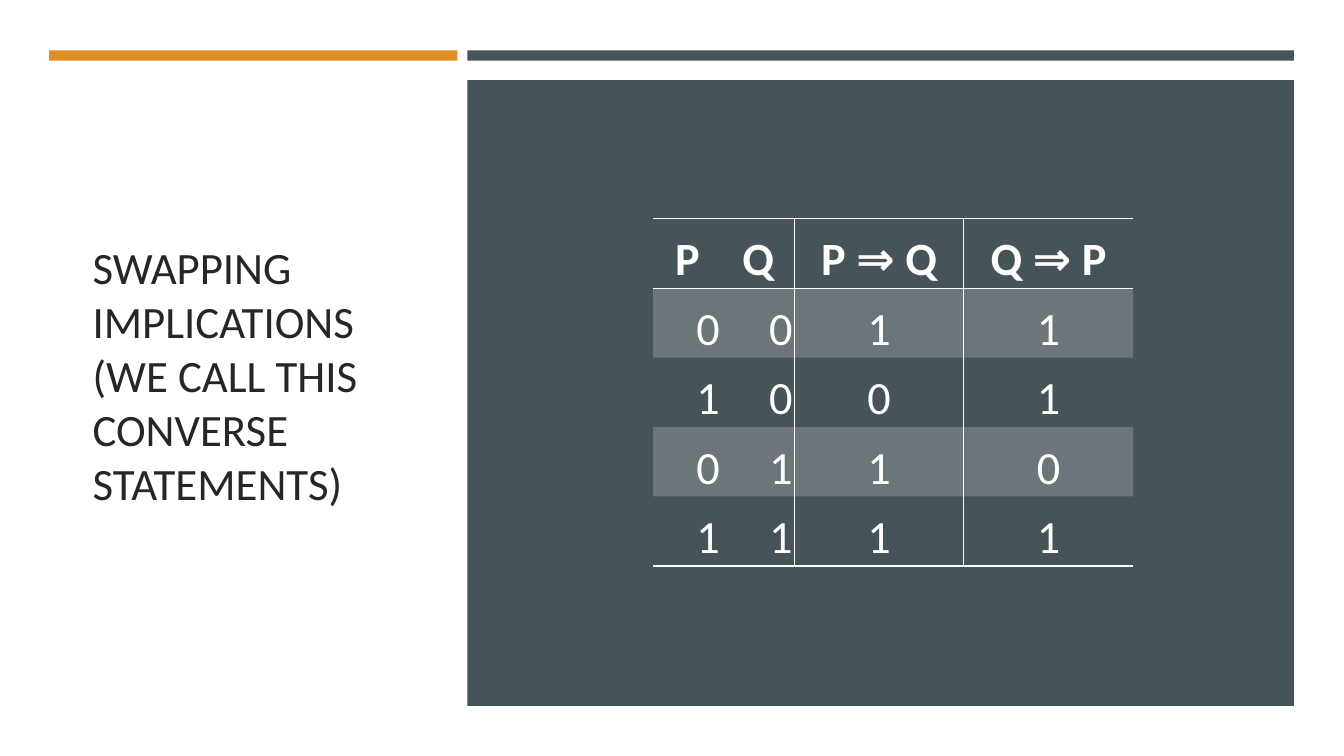
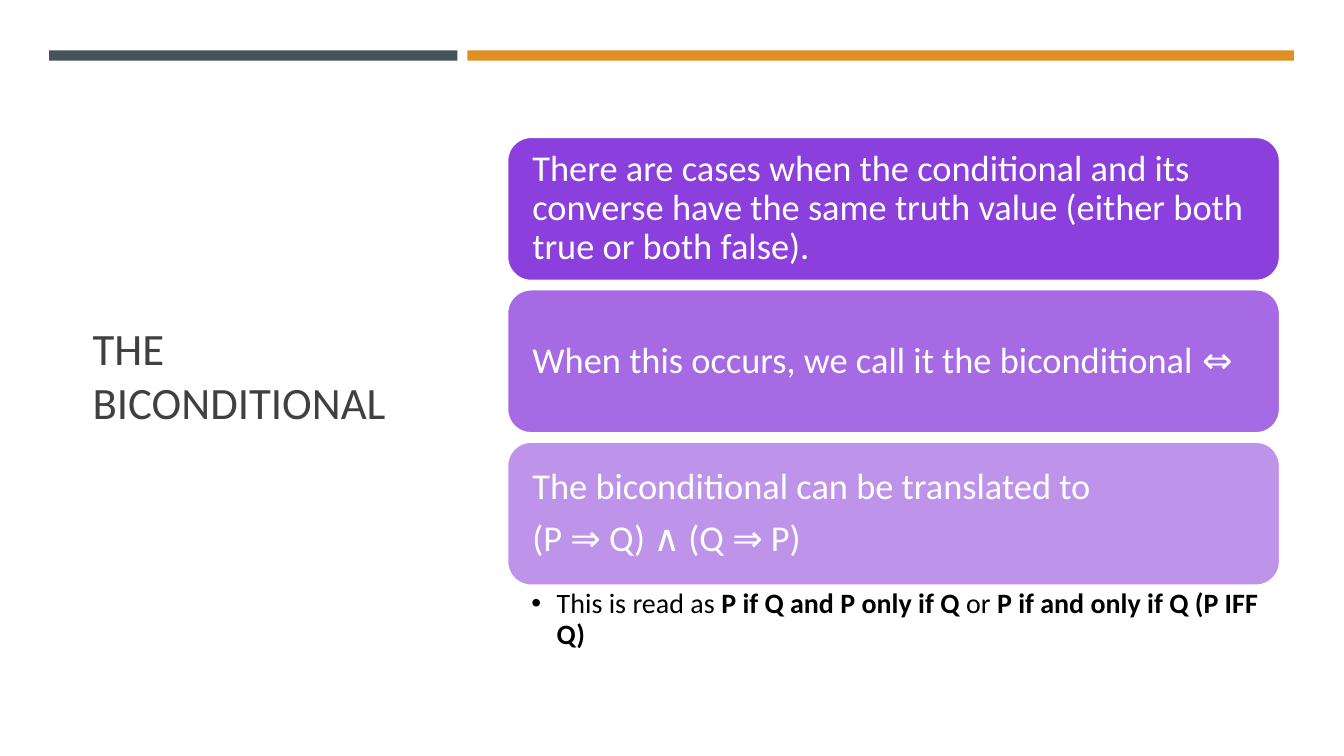
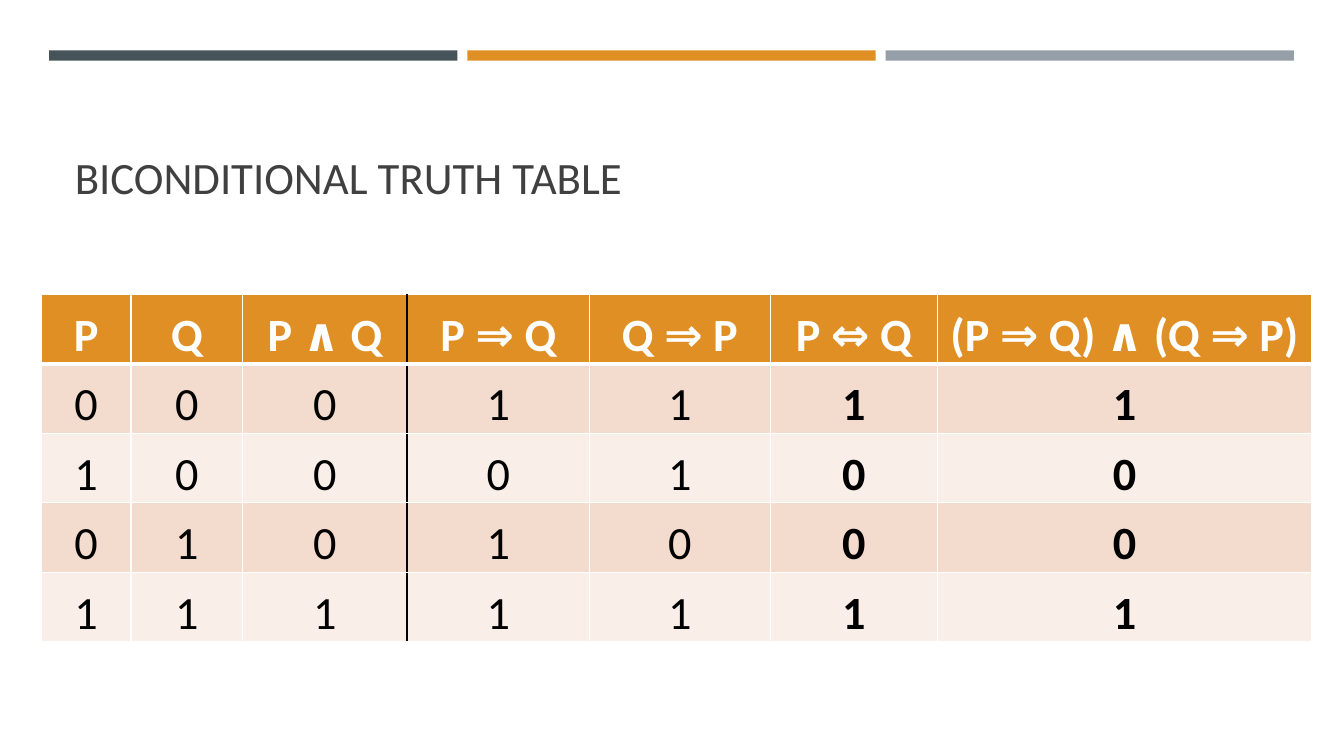
"""Builds three slides on converse statements and the biconditional."""
from lxml import etree
from pptx import Presentation
from pptx import util as u
from pptx.dml.color import RGBColor
from pptx.enum import shapes, text
from pptx.oxml.ns import qn

C = {"slate": "465359", "orange": "E08F25", "grey": "969FA7", "purple": "7F2BD9",
     "white": "FFFFFF", "black": "000000", "ink": "262626", "title": "404040",
     "band": "F3DBCD", "pale": "F9EEE8"}
FONT = "Calibri"
LEFT, COL, GAP = 1.24, 10.29, 0.25
SIDE_TITLE = (2.08, 2.9, 8.48, 13.08)
ROW_H = 1.75
NO_STYLE = "{2D5ABB26-0587-4C30-8999-92F81FD0307C}"
A = text.PP_ALIGN
V = text.MSO_ANCHOR


def cm(*values):
    """Turn numbers into centimetre lengths."""
    return [u.Cm(v) for v in values]


def paint(fill, color, alpha=100):
    """Fill solidly, with an opacity in percent."""
    fill.solid()
    fill.fore_color.rgb = RGBColor.from_string(C[color])
    if alpha < 100:
        clr = fill._xPr.find(qn("a:solidFill"))[0]
        etree.SubElement(clr, qn("a:alpha")).set("val", str(alpha * 1000))


def style(p, size, color, align=A.LEFT, bold=None):
    """Set the font and alignment of a paragraph."""
    p.alignment = align
    f = p.font
    f.name, f.size, f.bold = FONT, u.Pt(size), bold
    f.color.rgb = RGBColor.from_string(C[color])


def insets(tf, left, top, right, bottom):
    """Set the four margins of a text frame or cell."""
    tf.margin_left, tf.margin_top, tf.margin_right, tf.margin_bottom = cm(left, top, right, bottom)


def place(sp, box):
    """Move and size a placeholder."""
    sp.left, sp.top, sp.width, sp.height = cm(*box)


def block(s, box, color, alpha=100, kind=shapes.MSO_SHAPE.RECTANGLE):
    """Add a filled shape without line or shadow."""
    sp = s.shapes.add_shape(kind, *cm(*box))
    sp.shadow.inherit = False
    sp.line.fill.background()
    paint(sp.fill, color, alpha)
    return sp


def span(first, count):
    """Return left and width of some columns of the three-column grid."""
    return LEFT + first * (COL + GAP), count * COL + (count - 1) * GAP


def new_slide(prs, layout, title, box, bands, color="title", anchor=V.MIDDLE):
    """Add a slide with its title and its top bands."""
    s = prs.slides.add_slide(prs.slide_layouts[layout])
    sp = s.shapes.title
    place(sp, box)
    tf = sp.text_frame
    tf.text = title
    tf.auto_size = text.MSO_AUTO_SIZE.NONE
    tf.vertical_anchor = anchor
    style(tf.paragraphs[0], 32, color)
    first = 0
    for band, count in bands:
        x, w = span(first, count)
        block(s, (x, 1.27, w, 0.26), band)
        first += count
    return s


def border(cell, **sides):
    """Draw cell borders given as side=(colour, points)."""
    tcPr = cell._tc.get_or_add_tcPr()
    for side in "LRTB":
        if side in sides:
            color, width = sides[side]
            ln = etree.SubElement(tcPr, qn("a:ln" + side), w=str(u.Pt(width)))
            fill = etree.SubElement(ln, qn("a:solidFill"))
            etree.SubElement(fill, qn("a:srgbClr"), val=C[color])


def truth_table(s, x, y, widths, rows, dress):
    """Add a truth table; dress(cell, p, row, column) formats each cell."""
    frame = s.shapes.add_table(len(rows), len(widths),
                               *cm(x, y, sum(widths), ROW_H * len(rows)))
    tb = frame.table
    tb.first_row = tb.horz_banding = False
    tb._tbl.tblPr.find(qn("a:tableStyleId")).text = NO_STYLE
    for column, w in zip(tb.columns, widths):
        column.width = u.Cm(w)
    for i, row in enumerate(rows):
        tb.rows[i].height = u.Cm(ROW_H)
        for j, value in enumerate(row):
            cell = tb.cell(i, j)
            cell.text = value
            cell.vertical_anchor = V.BOTTOM
            insets(cell, 0.05, 0.05, 0.05, 0)
            dress(cell, cell.text_frame.paragraphs[0], i, j)


def dress_dark(cell, p, i, j):
    """Format a cell of the table on the dark panel."""
    rule = ("white", 1)
    sides = {}
    if j in (1, 2):
        sides["R"] = rule
    if j in (2, 3):
        sides["L"] = rule
    if i == 0:
        sides["T"] = rule
    if i in (0, 4):
        sides["B"] = rule
    border(cell, **sides)
    if i % 2:
        paint(cell.fill, "white", 20)
    else:
        cell.fill.background()
    style(p, 33, "white", A.RIGHT if i and j < 2 else A.CENTER, i == 0)


def dress_light(cell, p, i, j):
    """Format a cell of the banded table."""
    rule, divider = ("white", 1), ("black", 1)
    border(cell, L=divider if j == 3 else rule, R=divider if j == 2 else rule,
           T=("white", 3) if i == 1 else rule, B=("white", 3) if i == 0 else rule)
    paint(cell.fill, "orange" if i == 0 else "band" if i % 2 else "pale")
    style(p, 33, "black" if i else "white", A.CENTER, i == 0 or j > 4)


def cards(s, x, y, w, h, pitch, items):
    """Stack rounded cards of fading purple."""
    for i, (alpha, lines) in enumerate(items):
        sp = block(s, (x, y + i * pitch, w, h), "purple", alpha,
                   shapes.MSO_SHAPE.ROUNDED_RECTANGLE)
        paint(sp.line.fill, "white")
        sp.line.width = u.Pt(1.75)
        tf = sp.text_frame
        tf.text = "\n".join(lines)
        tf.word_wrap = True
        tf.vertical_anchor = V.MIDDLE
        insets(tf, 0.46, 0.46, 0.46, 0.46)
        for p in tf.paragraphs:
            style(p, 26, "white")
            p.line_spacing, p.space_after = 0.9, u.Pt(9)


def reading(s, box, runs):
    """Fill the body placeholder with one bullet of plain and bold runs."""
    sp = s.placeholders[1]
    place(sp, box)
    tf = sp.text_frame
    tf.auto_size = text.MSO_AUTO_SIZE.NONE
    insets(tf, 0.61, 0.1, 0.51, 0.1)
    p = tf.paragraphs[0]
    style(p, 20, "black")
    p.line_spacing, p.space_before = 0.9, u.Pt(0)
    pPr = p._p.get_or_add_pPr()
    pPr.set("marL", str(u.Cm(0.64)))
    pPr.set("indent", str(u.Cm(-0.64)))
    for words, bold in runs:
        r = p.add_run()
        r.text, r.font.bold = words, bold


def converse(prs):
    """Slide with the truth table of an implication and its converse."""
    s = new_slide(prs, 5, "SWAPPING IMPLICATIONS\v(WE CALL THIS CONVERSE STATEMENTS)",
                  SIDE_TITLE, [("orange", 1), ("slate", 2)], "ink")
    x, w = span(1, 2)
    block(s, (x, 2.02, w, 15.77), "slate")
    truth_table(s, x + 4.68, 5.51, (1.73, 1.83, 4.27, 4.27),
                [("P", "Q", "P ⇒ Q", "Q ⇒ P"), "0011", "1001", "0110", "1111"], dress_dark)


def biconditional(prs):
    """Slide that introduces the biconditional."""
    s = new_slide(prs, 1, "THE BICONDITIONAL", SIDE_TITLE, [("slate", 1), ("orange", 2)])
    x, y, w, h, pitch = 12.78, 3.45, 19.48, 3.63, 3.84
    cards(s, x, y, w, h, pitch, [
        (90, ["There are cases when the conditional and its converse have the same "
              "truth value (either both true or both false)."]),
        (70, ["When this occurs, we call it the biconditional ⇔"]),
        (50, ["The biconditional can be translated to", "(P ⇒ Q) ∧ (Q ⇒ P)"])])
    reading(s, (x, y + 2 * pitch + h, w, 1.57), [
        ("This is read as ", False), ("P if Q and P only if Q ", True),
        ("or ", False), ("P if and only if Q (P IFF Q)", True)])


def biconditional_table(prs):
    """Slide with the truth table of the biconditional."""
    s = new_slide(prs, 5, "BICONDITIONAL TRUTH TABLE", (1.63, 1.96, 30.63, 3.3),
                  [("slate", 1), ("orange", 1), ("grey", 1)], anchor=V.BOTTOM)
    truth_table(s, 1.04, 7.42, (2.26, 2.82, 4.14, 4.6, 4.55, 4.22, 9.42),
                [("P", "Q", "P ∧ Q", "P ⇒ Q", "Q ⇒ P", "P ⇔ Q", "(P ⇒ Q) ∧ (Q ⇒ P)"),
                 "0001111", "1000100", "0101000", "1111111"], dress_light)


def main():
    """Build and save the presentation."""
    prs = Presentation()
    prs.slide_width, prs.slide_height = cm(33.87, 19.05)
    converse(prs)
    biconditional(prs)
    biconditional_table(prs)
    prs.save("out.pptx")


if __name__ == "__main__":
    main()
